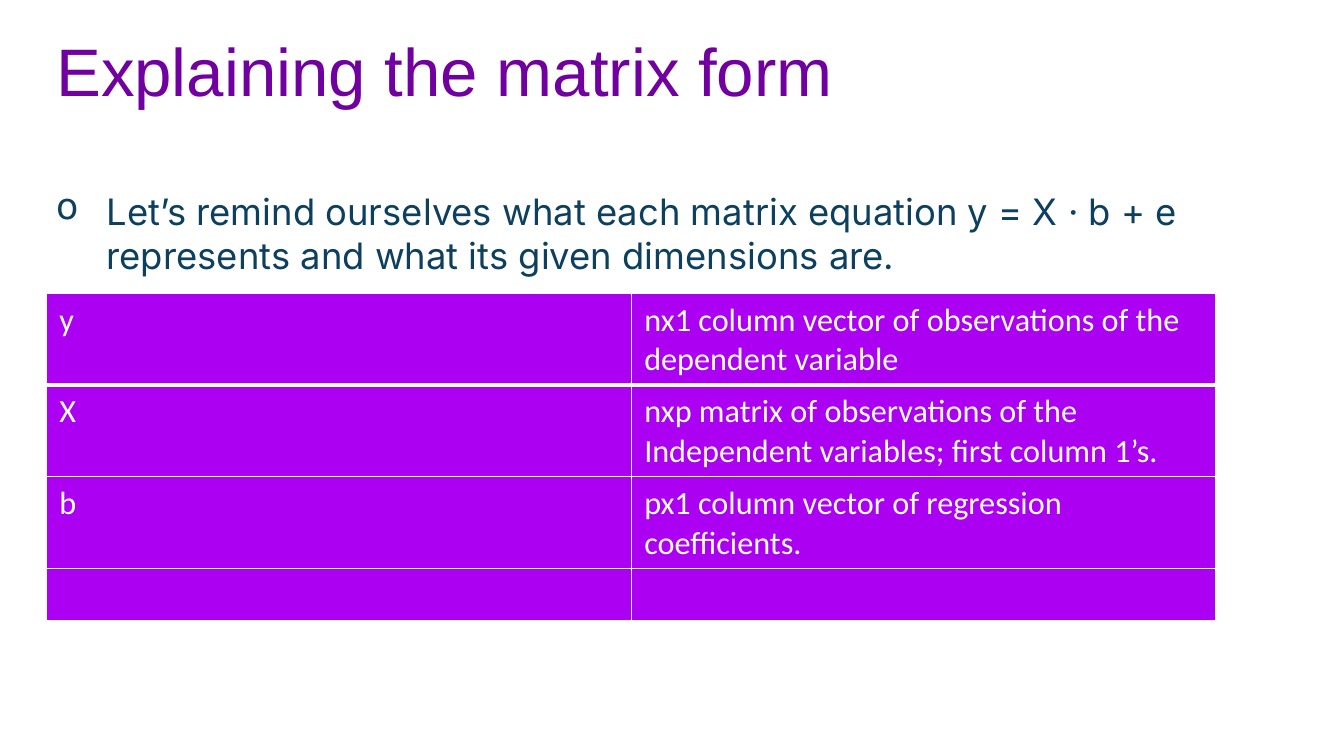
from lxml import etree
from pptx import Presentation
from pptx.dml.color import RGBColor
from pptx.enum.text import MSO_ANCHOR
from pptx.oxml.ns import qn
from pptx.util import Inches, Pt

MIDDLE = MSO_ANCHOR.MIDDLE
TOP = MSO_ANCHOR.TOP

TITLE = "Explaining the matrix form"
REMINDER = ("Let’s remind ourselves what each matrix equation y = X · b + e "
            "represents and what its given dimensions are.")
TERMS = [
    ("y", "nx1 column vector of observations of the dependent variable"),
    ("X", "nxp matrix of observations of the Independent variables; first column 1’s."),
    ("b", "px1 column vector of regression coefficients."),
    ("", ""),
]
COLORS = {"title": "7100A0", "body": "0D405F", "cell": "AB00F2", "white": "FFFFFF"}

LEFT = 0.46
TEXT_WIDTH = 11.5
TABLE_TOP = 2.91
COLUMN_WIDTH = 5.8
TERM_HEIGHT, EMPTY_HEIGHT = 0.91, 0.52
CELL_INSET_X, CELL_INSET_Y = 0.13, 0.07
BULLET_INDENT = 0.5


def write(frame, text, *, size, font, color, anchor=TOP, spacing=None, bullet=None):
    frame.word_wrap = True
    frame.vertical_anchor = anchor
    paragraph = frame.paragraphs[0]
    if spacing:
        paragraph.line_spacing = spacing
    if bullet:
        properties = paragraph._p.get_or_add_pPr()
        properties.set("marL", str(Inches(BULLET_INDENT)))
        properties.set("indent", str(-Inches(BULLET_INDENT)))
        etree.SubElement(properties, qn("a:buChar")).set("char", bullet)
    if text:
        run = paragraph.add_run()
        run.text = text
        run.font.size = Pt(size)
        run.font.name = font
        run.font.color.rgb = RGBColor.from_string(color)


def draw_borders(cell, widths):
    properties = cell._tc.get_or_add_tcPr()
    for position, (side, width) in enumerate(widths.items()):
        line = etree.Element(qn(f"a:{side}"), w=str(Pt(width)))
        fill = etree.SubElement(line, qn("a:solidFill"))
        etree.SubElement(fill, qn("a:srgbClr")).set("val", COLORS["white"])
        properties.insert(position, line)


def add_text(slide, top, height, text, **style):
    box = slide.shapes.add_textbox(
        Inches(LEFT), Inches(top), Inches(TEXT_WIDTH), Inches(height))
    write(box.text_frame, text, **style)


def add_terms(slide):
    heights = [TERM_HEIGHT if symbol else EMPTY_HEIGHT for symbol, _ in TERMS]
    table = slide.shapes.add_table(
        len(TERMS), 2, Inches(LEFT), Inches(TABLE_TOP),
        Inches(2 * COLUMN_WIDTH), Inches(sum(heights))).table
    for column in table.columns:
        column.width = Inches(COLUMN_WIDTH)
    for r, (term, height) in enumerate(zip(TERMS, heights)):
        table.rows[r].height = Inches(height)
        for c, text in enumerate(term):
            cell = table.cell(r, c)
            cell.margin_left = cell.margin_right = Inches(CELL_INSET_X)
            cell.margin_top = cell.margin_bottom = Inches(CELL_INSET_Y)
            cell.fill.solid()
            cell.fill.fore_color.rgb = RGBColor.from_string(COLORS["cell"])
            draw_borders(cell, {"lnL": 1, "lnR": 1,
                                "lnT": 3 if r == 1 else 1,
                                "lnB": 3 if r == 0 else 1})
            write(cell.text_frame, text, size=23, font="Calibri", color=COLORS["white"])


def main():
    deck = Presentation()
    deck.slide_width, deck.slide_height = Inches(13.33), Inches(7.5)
    slide = deck.slides.add_slide(deck.slide_layouts[6])
    add_text(slide, 0.02, 1.45, TITLE, size=48, font="Arial",
             color=COLORS["title"], anchor=MIDDLE, spacing=0.9)
    add_text(slide, 1.83, 4.76, REMINDER, size=26, font="Inter",
             color=COLORS["body"], bullet="o")
    add_terms(slide)
    deck.save("out.pptx")


if __name__ == "__main__":
    main()
